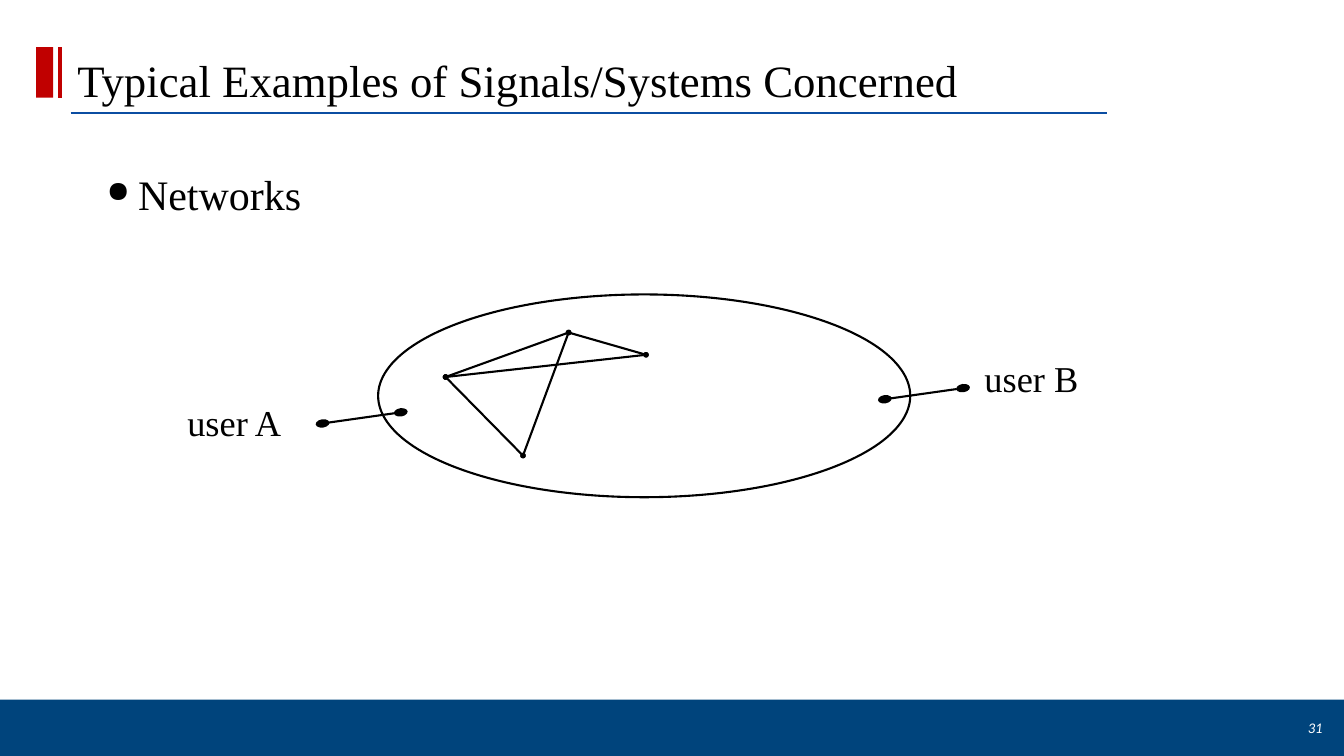
from collections import namedtuple

from lxml import etree
from pptx import Presentation
from pptx.dml.color import RGBColor
from pptx.enum.shapes import MSO_CONNECTOR, MSO_SHAPE
from pptx.enum.text import MSO_ANCHOR, MSO_AUTO_SIZE, PP_ALIGN
from pptx.oxml.ns import qn
from pptx.util import Cm, Pt

STRAIGHT = MSO_CONNECTOR.STRAIGHT
RECTANGLE, OVAL = MSO_SHAPE.RECTANGLE, MSO_SHAPE.OVAL
TOP, MIDDLE, BOTTOM = MSO_ANCHOR.TOP, MSO_ANCHOR.MIDDLE, MSO_ANCHOR.BOTTOM
LEFT, RIGHT = PP_ALIGN.LEFT, PP_ALIGN.RIGHT
FIT_SHAPE = MSO_AUTO_SIZE.SHAPE_TO_FIT_TEXT

COLORS = {"ink": "000000", "paper": "FFFFFF", "navy": "00447C",
          "rule": "0B4DA2", "red": "C00000"}
SERIF, SANS = "Times New Roman", "Calibri"

Box = namedtuple("Box", "left top width height")


def color(name):
    """Return the named colour of the palette."""
    return RGBColor.from_string(COLORS[name])


def add_line(page, start, end, ink="ink", width=1.5, dots=None):
    """Draw a straight line, with oval ends when dots gives their width and length."""
    line = page.shapes.add_connector(STRAIGHT, *map(Cm, start + end))
    line.line.color.rgb = color(ink)
    line.line.width = Pt(width)
    properties = line._element.spPr
    if dots:
        outline = line.line._get_or_add_ln()
        for tag in ("a:headEnd", "a:tailEnd"):
            etree.SubElement(outline, qn(tag), type="oval", w=dots[0], len=dots[1])
    etree.SubElement(properties, qn("a:effectLst"))
    return line


def add_block(page, kind, box, fill=None, ink=None):
    """Place a preset shape with a plain fill or outline."""
    block = page.shapes.add_shape(kind, *map(Cm, box))
    block.shadow.inherit = False
    if fill:
        block.fill.solid()
        block.fill.fore_color.rgb = color(fill)
    else:
        block.fill.background()
    if ink:
        block.line.color.rgb = color(ink)
        block.line.width = Pt(1.5)
    else:
        block.line.fill.background()
    return block


def add_text(page, box, text, size, font=SERIF, ink="ink", anchor=MIDDLE,
             align=LEFT, italic=False):
    """Place a one-line text box and return its frame and paragraph."""
    frame = page.shapes.add_textbox(*map(Cm, box)).text_frame
    frame.word_wrap = True
    frame.vertical_anchor = anchor
    para = frame.paragraphs[0]
    para.alignment = align
    span = para.add_run()
    span.text = text
    span.font.size = Pt(size)
    span.font.name = font
    span.font.italic = italic
    span.font.color.rgb = color(ink)
    return frame, para


def add_header(page, box, title):
    """Draw the red marker, the title and the rule beneath it."""
    marker = Box(box.left + 0.2, box.top + 0.55, 0.43, 1.27)
    stripe = box.left + 0.81
    add_block(page, RECTANGLE, marker, fill="red")
    add_line(page, (stripe, marker.top), (stripe, marker.top + marker.height),
             ink="red", width=3)
    rule = box.top + box.height + 0.02
    add_line(page, (box.left + 1.07, rule), (box.left + box.width, rule), ink="rule")
    para = add_text(page, box, title, 32, anchor=BOTTOM)[1]
    para.line_spacing = 2.0
    para._p.get_or_add_pPr().set("marL", str(Cm(0.99)))


def add_topic(page, box, topic):
    """Write the bulleted topic."""
    frame, para = add_text(page, box, topic, 30, anchor=TOP)
    frame.auto_size = FIT_SHAPE
    para.line_spacing = 1.5
    para.space_before = Pt(12)
    properties = para._p.get_or_add_pPr()
    properties.set("marL", str(Cm(2.06)))
    properties.set("indent", str(-Cm(0.79)))
    etree.SubElement(properties, qn("a:buSzPct"), val="70000")
    etree.SubElement(properties, qn("a:buChar"), char="●")


def add_network(page, box):
    """Draw the network cloud, its inner links and the two users joined to it."""
    def place(point):
        """Turn a point within the cloud's box into a point on the page."""
        return (box.left + point[0], box.top + point[1])

    nodes = {"hub": (1.7, 2.08), "upper": (4.8, 0.96),
             "right": (6.75, 1.52), "lower": (3.65, 4.06)}
    links = [("hub", "upper"), ("hub", "right"), ("upper", "right"),
             ("hub", "lower"), ("upper", "lower")]
    for start, end in links:
        add_line(page, place(nodes[start]), place(nodes[end]), dots=("sm", "sm"))

    add_block(page, OVAL, box, ink="ink")

    users = [("user A", (-5.06, 2.54), (-1.4, 3.25)),
             ("user B", (15.03, 1.42), (12.77, 2.64))]
    for name, label, start in users:
        end = (start[0] + 1.97, start[1] - 0.28)
        add_line(page, place(start), place(end), dots=("med", "lg"))
        frame = add_text(page, Box(*place(label), 2.9, 1.37), name, 26)[0]
        frame.auto_size = FIT_SHAPE


def add_footer(page, box, number):
    """Draw the footer band with the page number at its right."""
    add_block(page, RECTANGLE, box, fill="navy")
    label = Box(box.left + box.width - 3.92, box.top + 0.2, 3.63, 1.02)
    add_text(page, label, number, 10.5, font=SANS, ink="paper",
             align=RIGHT, italic=True)


def main():
    """Build the slide and save the deck."""
    deck = Presentation()
    deck.slide_width, deck.slide_height = Cm(33.87), Cm(19.05)
    page = deck.slides.add_slide(deck.slide_layouts[6])
    page.background.fill.solid()
    page.background.fill.fore_color.rgb = color("paper")
    add_footer(page, Box(0, 17.63, 33.87, 1.42), "31")
    add_header(page, Box(0.71, 0.64, 27.18, 2.18),
               "Typical Examples of Signals/Systems Concerned")
    add_topic(page, Box(1.17, 3.48, 7.01, 1.96), "Networks")
    add_network(page, Box(9.53, 7.42, 13.41, 5.11))
    deck.save("out.pptx")


if __name__ == "__main__":
    main()
